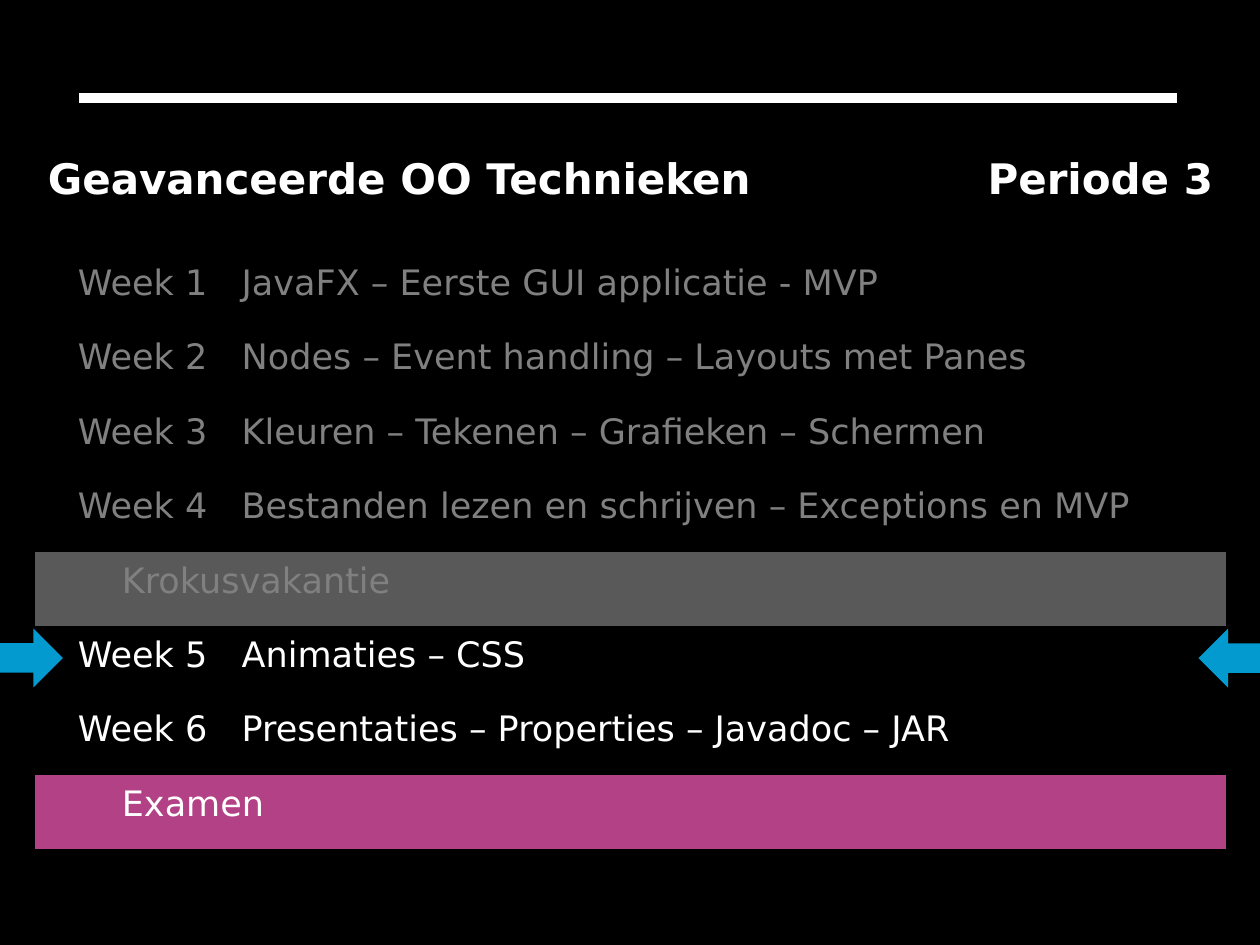
import pptx
import pptx.dml.color
import pptx.enum.shapes
import pptx.enum.text
import pptx.oxml.ns
import pptx.util
import lxml.etree

Cm = pptx.util.Cm
Pt = pptx.util.Pt
RGBColor = pptx.dml.color.RGBColor
qn = pptx.oxml.ns.qn

BLACK = RGBColor(0x00, 0x00, 0x00)
WHITE = RGBColor(0xFF, 0xFF, 0xFF)
GREY = RGBColor(0x80, 0x80, 0x80)
DARK = RGBColor(0x59, 0x59, 0x59)
PINK = RGBColor(0xB3, 0x41, 0x85)
BLUE = RGBColor(0x03, 0x9B, 0xCF)

FONT = "DejaVu Sans"
PLAIN_TABLE = "{2D5ABB26-0587-4C30-8999-92F81FD0307C}"
COLS = [0.58, 3.3, 14.05, 4.11, 1.93]
ROW, GAP = 1.5, 0.67
LEFT, TOP = 0.71, 2.95

# Label, topic (None for a band), text colour, band colour
WEEKS = [
    ("Week 1", "JavaFX – Eerste GUI applicatie - MVP", GREY, None),
    ("Week 2", "Nodes – Event handling – Layouts met Panes", GREY, None),
    ("Week 3", "Kleuren – Tekenen – Grafieken – Schermen", GREY, None),
    ("Week 4", "Bestanden lezen en schrijven – Exceptions en MVP", GREY, None),
    ("Krokusvakantie", None, GREY, DARK),
    ("Week 5", "Animaties – CSS", WHITE, None),
    ("Week 6", "Presentaties – Properties – Javadoc – JAR", WHITE, None),
    ("Examen", None, WHITE, PINK),
]


class Deck:
    def __init__(self):
        self.prs = pptx.Presentation()
        self.prs.slide_width = Cm(25.4)
        self.prs.slide_height = Cm(19.05)
        self.slide = self.prs.slides.add_slide(self.prs.slide_layouts[6])
        back = self.slide.background.fill
        back.solid()
        back.fore_color.rgb = BLACK

    def rule(self, left, right, top):
        line = self.slide.shapes.add_connector(
            pptx.enum.shapes.MSO_CONNECTOR.STRAIGHT,
            Cm(left), Cm(top), Cm(right), Cm(top))
        line.line.color.rgb = WHITE
        line.line.width = Pt(6)
        lxml.etree.SubElement(line._element.spPr, qn("a:effectLst"))

    def arrow(self, left, top, turn=0):
        shape = self.slide.shapes.add_shape(
            pptx.enum.shapes.MSO_SHAPE.RIGHT_ARROW,
            Cm(left), Cm(top), Cm(1.3), Cm(1.19))
        shape.rotation = turn
        shape.shadow.inherit = False
        shape.fill.solid()
        shape.fill.fore_color.rgb = BLUE
        shape.line.fill.background()

    def table(self, left, top, cols, rows):
        """Add a table without style, borders or fills."""
        frame = self.slide.shapes.add_table(
            len(rows), len(cols), Cm(left), Cm(top), Cm(sum(cols)), Cm(sum(rows)))
        for tag in frame._element.iter(qn("a:tableStyleId")):
            tag.text = PLAIN_TABLE
        grid = frame.table
        grid.first_row = grid.horz_banding = False
        for col, width in zip(grid.columns, cols):
            col.width = Cm(width)
        for row, height in zip(grid.rows, rows):
            row.height = Cm(height)
        for cell in grid.iter_cells():
            cell.fill.background()
            cell.margin_top = cell.margin_bottom = Cm(0.18)
        return grid

    def text(self, cell, words, color, size=20, bold=False, right=False):
        para = cell.text_frame.paragraphs[0]
        if right:
            para.alignment = pptx.enum.text.PP_ALIGN.RIGHT
        run = para.add_run()
        run.text = words
        run.font.name = FONT
        run.font.size = Pt(size)
        run.font.bold = bold
        run.font.color.rgb = color

    def spacer(self, grid, row):
        """Merge a row and shrink its empty text so the row can be low."""
        for cell in grid.rows[row].cells:
            cell.margin_top = cell.margin_bottom = 0
            para = cell.text_frame.paragraphs[0]._p
            lxml.etree.SubElement(para, qn("a:endParaRPr"), sz="800")
        grid.cell(row, 0).merge(grid.cell(row, len(grid.columns) - 1))

    def band(self, grid, row, words, color, fill):
        for cell in grid.rows[row].cells:
            cell.fill.solid()
            cell.fill.fore_color.rgb = fill
        cell = grid.cell(row, 1)
        cell.merge(grid.cell(row, 4))
        cell.margin_left = Cm(1.14)
        self.text(cell, words, color)

    def week(self, grid, row, label, topic, color):
        cell = grid.cell(row, 2)
        cell.merge(grid.cell(row, 4))
        self.text(grid.cell(row, 1), label, color)
        self.text(cell, topic, color)


def main():
    deck = Deck()
    deck.rule(1.6, 23.72, 1.98)

    grid = deck.table(LEFT, TOP, COLS, [ROW, GAP] + [ROW] * len(WEEKS))
    grid.cell(0, 0).merge(grid.cell(0, 2))
    grid.cell(0, 3).merge(grid.cell(0, 4))
    deck.text(grid.cell(0, 0), "Geavanceerde OO Technieken", WHITE, 24, True)
    deck.text(grid.cell(0, 3), "Periode 3", WHITE, 24, True, True)
    deck.spacer(grid, 1)
    for row, (label, topic, color, fill) in enumerate(WEEKS, 2):
        if topic:
            deck.week(grid, row, label, topic, color)
        else:
            deck.band(grid, row, label, color, fill)

    deck.arrow(-0.03, 12.67)
    deck.arrow(24.16, 12.67, 180)
    deck.prs.save("out.pptx")


if __name__ == "__main__":
    main()
